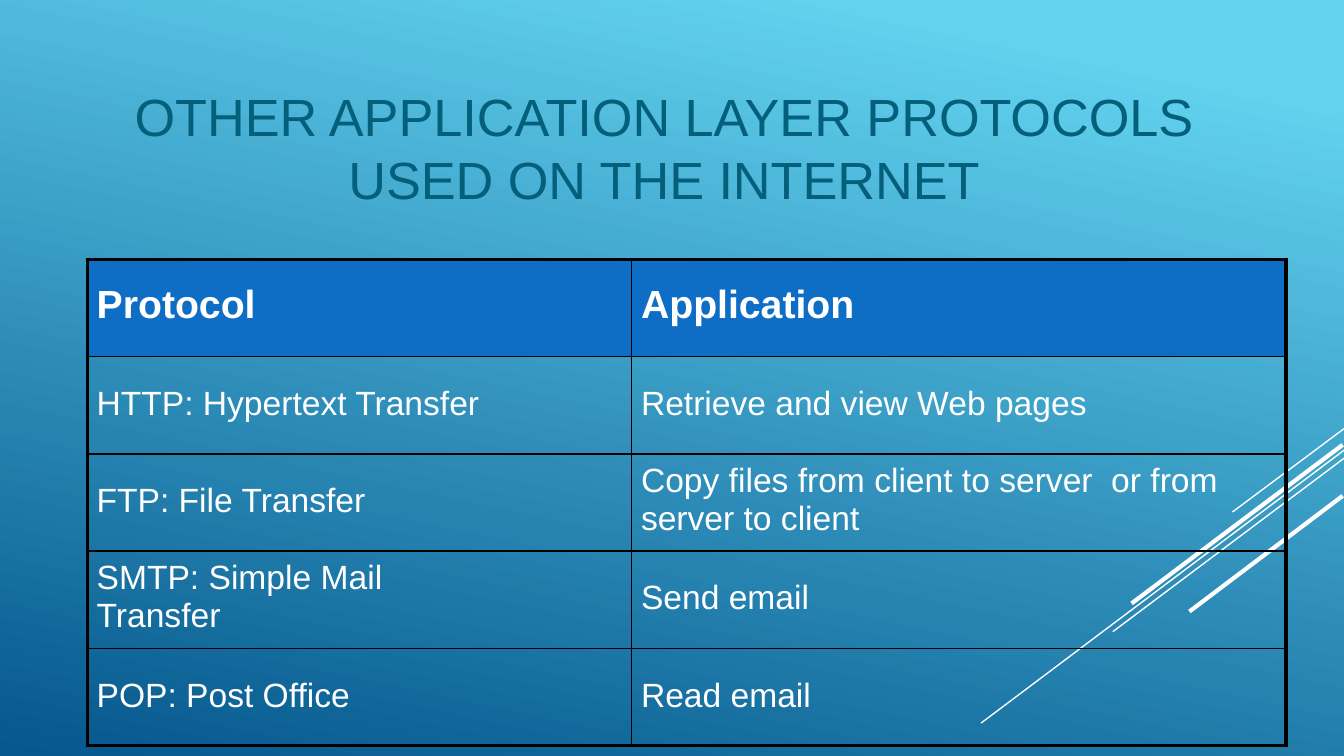
import pptx
import pptx.dml.color
import pptx.enum.shapes
import pptx.enum.text
import pptx.oxml.ns
import pptx.util
from dataclasses import dataclass
from lxml import etree
from pptx.util import Inches


@dataclass(frozen=True)
class Theme:
    font: str = "Arial"
    title: str = "04607A"
    text: str = "FFFFFF"
    head: str = "0E6EC5"
    edge: str = "000000"
    sky: str = "62D2EF"
    deep: str = "05578D"
    title_size: float = 28
    head_size: float = 21
    body_size: float = 18
    thin: float = 1
    thick: float = 2.25


def color(code):
    return pptx.dml.color.RGBColor.from_string(code)


def add_xml(parent, tag, **attrs):
    return etree.SubElement(parent, pptx.oxml.ns.qn(tag), attrs)


class Deck:
    def __init__(self, theme, width):
        """Start a 16:9 deck with one blank slide."""
        self.theme = theme
        self.file = pptx.Presentation()
        self.file.slide_width = Inches(width)
        self.file.slide_height = Inches(width * 9 / 16)
        self.slide = self.file.slides.add_slide(self.file.slide_layouts[6])

    def backdrop(self):
        fill = self.slide.background.fill
        fill.gradient()
        fill.gradient_angle = 258
        stops = ((0.1, self.theme.sky), (1, self.theme.deep))
        for stop, (place, code) in zip(fill.gradient_stops, stops):
            stop.position = place
            stop.color.rgb = color(code)

    def line(self, start, end, weight):
        kind = pptx.enum.shapes.MSO_CONNECTOR.STRAIGHT
        line = self.slide.shapes.add_connector(
            kind, *(Inches(v) for v in (*start, *end)))
        line.line.color.rgb = color(self.theme.text)
        line.line.width = pptx.util.Pt(weight)
        add_xml(line._element.spPr, "a:effectLst")

    def style(self, par, size, code, bold=False):
        par.font.name = self.theme.font
        par.font.size = pptx.util.Pt(size)
        par.font.bold = bold
        par.font.color.rgb = color(code)

    def title(self, text, box):
        shape = self.slide.shapes.add_textbox(*(Inches(v) for v in box))
        frame = shape.text_frame
        frame.word_wrap = True
        frame.vertical_anchor = pptx.enum.text.MSO_ANCHOR.MIDDLE
        frame.margin_left = frame.margin_right = frame.margin_bottom = 0
        frame.margin_top = Inches(0.01)
        par = frame.paragraphs[0]
        par.text = text
        par.alignment = pptx.enum.text.PP_ALIGN.CENTER
        self.style(par, self.theme.title_size, self.theme.title)

    def border(self, cell, outer):
        """Draw all four sides, thick on those named in outer."""
        props = cell._tc.get_or_add_tcPr()
        for side in "LRTB":
            weight = self.theme.thick if side in outer else self.theme.thin
            edge = add_xml(props, f"a:ln{side}",
                           w=str(pptx.util.Pt(weight)))
            fill = add_xml(edge, "a:solidFill")
            add_xml(fill, "a:srgbClr", val=self.theme.edge)

    def cell(self, cell, text, head, top, right):
        cell.margin_left = Inches(0.07)
        cell.margin_top = Inches(top)
        cell.margin_right = Inches(right)
        cell.margin_bottom = 0
        par = cell.text_frame.paragraphs[0]
        par.text = text
        size = self.theme.head_size if head else self.theme.body_size
        self.style(par, size, self.theme.text, head)
        if head:
            cell.fill.solid()
            cell.fill.fore_color.rgb = color(self.theme.head)
        else:
            cell.fill.background()

    def table(self, rows, left, top, widths, height, tall):
        """Build the grid; tall maps two-line cells to their right margin."""
        last = len(rows) - 1
        table = self.slide.shapes.add_table(
            len(rows), len(widths), Inches(left), Inches(top),
            Inches(sum(widths)), Inches(height)).table
        table.horz_banding = False
        for col, width in zip(table.columns, widths):
            col.width = Inches(width)
        for r, row in enumerate(rows):
            table.rows[r].height = Inches(height / len(rows))
            for c, text in enumerate(row):
                outer = "L" if c == 0 else "R"
                outer += {0: "T", last: "B"}.get(r, "")
                self.border(table.cell(r, c), outer)
                inset = 0.18 if r == 0 else 0.06 if (r, c) in tall else 0.21
                right = tall.get((r, c), 0)
                self.cell(table.cell(r, c), text, r == 0, inset, right)


def main():
    theme = Theme()
    deck = Deck(theme, 10)
    deck.backdrop()
    rays = (
        ((10, 3.19), (9.17, 3.81), 0.75),
        ((10, 3.35), (7.3, 5.38), 0.75),
        ((10, 3.41), (8.28, 4.7), 0.75),
        ((9.99, 3.31), (8.42, 4.49), theme.thick),
        ((9.99, 3.69), (8.85, 4.55), theme.thick),
    )
    for ray in rays:
        deck.line(*ray)
    deck.title("OTHER APPLICATION LAYER PROTOCOLS USED ON THE INTERNET",
               (0.65, 0.68, 8.58, 0.82))
    rows = (
        ("Protocol", "Application"),
        ("HTTP: Hypertext Transfer", "Retrieve and view Web pages"),
        ("FTP: File Transfer",
         "Copy files from client to server  or from server to client"),
        ("SMTP: Simple Mail  Transfer", "Send email"),
        ("POP: Post Office", "Read email"),
    )
    deck.table(rows, 0.65, 1.93, (4.05, 4.87), 3.62,
               tall={(2, 1): 0, (3, 0): 1.4})
    deck.file.save("out.pptx")


if __name__ == "__main__":
    main()
